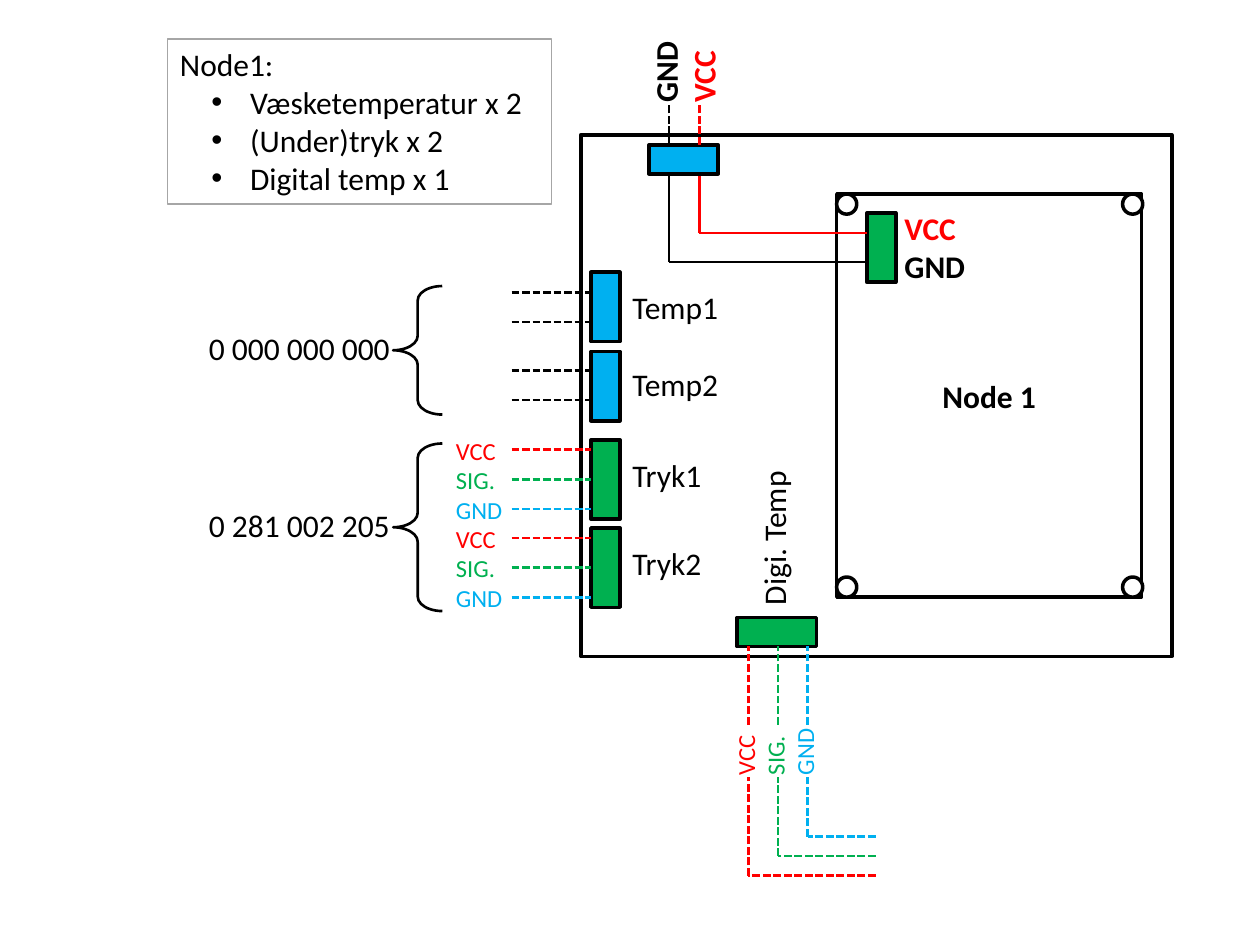
import pptx
import pptx.util
import pptx.dml.color
import pptx.enum.dml
import pptx.enum.shapes
import pptx.enum.text
import lxml.etree
from pptx.util import Inches, Pt

RGBColor = pptx.dml.color.RGBColor
MSO_SHAPE = pptx.enum.shapes.MSO_SHAPE
BLACK = RGBColor(0x00, 0x00, 0x00)
WHITE = RGBColor(0xFF, 0xFF, 0xFF)
GREY = RGBColor(0xA6, 0xA6, 0xA6)
RED = RGBColor(0xFF, 0x00, 0x00)
GREEN = RGBColor(0x00, 0xB0, 0x50)
BLUE = RGBColor(0x00, 0xB0, 0xF0)
A = "{http://schemas.openxmlformats.org/drawingml/2006/main}"

deck = pptx.Presentation()
deck.slide_width, deck.slide_height = Inches(10), Inches(7.5)
slide = deck.slides.add_slide(deck.slide_layouts[6])


def put_text(text, box=None, shape=None, colors=(BLACK,), size=18, bold=False,
             rotation=0, wrap=False):
    """Write lines of text into a shape, or into a new text box."""
    if shape is None:
        shape = slide.shapes.add_textbox(*map(Inches, box))
    shape.rotation = rotation
    frame = shape.text_frame
    frame.word_wrap = wrap
    frame.auto_size = pptx.enum.text.MSO_AUTO_SIZE.SHAPE_TO_FIT_TEXT
    frame.text = text
    for i, paragraph in enumerate(frame.paragraphs):
        paragraph.alignment = pptx.enum.text.PP_ALIGN.LEFT
        font = paragraph.runs[0].font
        font.name, font.size, font.bold = "Calibri", Pt(size), bold
        font.color.rgb = colors[i % len(colors)]
    return frame


def draw(kind, box, fill=None, line=BLACK, width=2, rotation=0, dashed=False):
    """Draw a preset shape in a box, or a line between two points if kind is None."""
    if kind is None:
        part = slide.shapes.add_connector(
            pptx.enum.shapes.MSO_CONNECTOR.STRAIGHT, *map(Inches, box))
        lxml.etree.SubElement(part._element.spPr, A + "effectLst")
        width = 1.5
    else:
        part = slide.shapes.add_shape(kind, *map(Inches, box))
        part.shadow.inherit = False
        part.rotation = rotation
        if fill is None:
            part.fill.background()
        else:
            part.fill.solid()
            part.fill.fore_color.rgb = fill
    part.line.color.rgb = line
    part.line.width = Pt(width)
    if dashed:
        part.line.dash_style = pptx.enum.dml.MSO_LINE.SQUARE_DOT
    return part


# Outer board and node board with its mounting holes
draw(MSO_SHAPE.RECTANGLE, (4.61, 1.07, 4.69, 4.14))
node = draw(MSO_SHAPE.RECTANGLE, (6.64, 1.54, 2.42, 3.2))
node_text = put_text("Node 1", shape=node, bold=True, wrap=True)
node_text.auto_size = pptx.enum.text.MSO_AUTO_SIZE.NONE
node_text.vertical_anchor = pptx.enum.text.MSO_ANCHOR.MIDDLE
node_text.paragraphs[0].alignment = pptx.enum.text.PP_ALIGN.CENTER
for hole_x in (6.64, 8.91):
    for hole_y in (1.54, 4.58):
        draw(MSO_SHAPE.OVAL, (hole_x, hole_y, 0.16, 0.16), fill=WHITE)

# Power supply: node terminal, wires, board terminal
draw(MSO_SHAPE.RECTANGLE, (6.88, 1.69, 0.23, 0.55), fill=GREEN)
put_text("VCC\nGND", (7.08, 1.61, 0.69, 0.71), colors=(RED, BLACK), bold=True)
supply_wires = [(5.55, 1.85, RED), (5.31, 2.08, BLACK)]
for x, y, color in supply_wires:
    draw(None, (6.88, y, x, y), line=color)
    draw(None, (x, y, x, 1.38), line=color)
draw(MSO_SHAPE.RECTANGLE, (5.31, 0.99, 0.23, 0.55), fill=BLUE, rotation=90)
put_text("GND\nVCC", (5.09, 0.21, 0.69, 0.71), colors=(BLACK, RED), bold=True,
         rotation=270)
for x, y, color in supply_wires:
    draw(None, (x, 1.15, x, 0.83), line=color, dashed=True)

# Sensor terminals on the left edge: label, top, height, label top, fill, wires
SIGNALS = (RED, GREEN, BLUE)
SIGNAL_NAMES = "VCC\nSIG.\nGND"
WIRE_GAP = 0.235
sensors = [
    ("Temp1", 2.16, 0.55, 2.24, 0.89, BLUE, 2.32, (BLACK, BLACK)),
    ("Temp2", 2.79, 0.55, 2.85, 0.89, BLUE, 2.94, (BLACK, BLACK)),
    ("Tryk1", 3.49, 0.63, 3.57, 0.75, GREEN, 3.57, SIGNALS),
    ("Tryk2", 4.19, 0.63, 4.27, 0.75, GREEN, 4.27, SIGNALS),
]
for name, top, height, name_top, name_width, fill, wire_top, colors in sensors:
    draw(MSO_SHAPE.RECTANGLE, (4.69, top, 0.23, height), fill=fill, rotation=180)
    put_text(name, (4.92, name_top, name_width, 0.4))
    for i, color in enumerate(colors):
        y = wire_top + i * WIRE_GAP
        draw(None, (4.06, y, 4.69, y), line=color, dashed=True)
    if colors == SIGNALS:
        put_text(SIGNAL_NAMES, (3.52, wire_top - 0.16, 0.57, 0.81), colors=SIGNALS,
                 size=14)

# Digital temperature terminal and its cable
draw(MSO_SHAPE.RECTANGLE, (6.05, 4.7, 0.23, 0.63), fill=GREEN, rotation=270)
put_text("Digi. Temp", (5.5, 4.06, 1.28, 0.4), rotation=270)
put_text(SIGNAL_NAMES, (5.87, 5.56, 0.57, 0.81), colors=SIGNALS, size=14, rotation=270)
for i, color in enumerate(SIGNALS):
    x, bend = 5.94 + i * WIRE_GAP, 6.95 - i * 0.155
    draw(None, (x, 5.75, x, 5.13), line=color, dashed=True)
    draw(None, (x, bend, x, 6.17), line=color, dashed=True)
    draw(None, (6.95, bend, x, bend), line=color, dashed=True)

# Part numbers with braces
for number, number_top, brace_top, brace_height in [
        ("0 000 000 000", 2.56, 2.27, 1.02), ("0 281 002 205", 3.97, 3.52, 1.33)]:
    put_text(number, (1.56, number_top, 1.72, 0.4), wrap=True)
    brace = draw(MSO_SHAPE.LEFT_BRACE, (3.12, brace_top, 0.39, brace_height), width=1.5)
    brace.adjustments[0], brace.adjustments[1] = 0.293, 0.5

# Sensor list
sensor_list = put_text(
    "Node1:\n Væsketemperatur x 2\n (Under)tryk x 2\n Digital temp x 1",
    (1.33, 0.31, 3.05, 1.31), wrap=True)
list_box = slide.shapes[-1]
list_box.line.color.rgb = GREY
list_box.line.width = Pt(0.75)
for item in sensor_list.paragraphs[1:]:
    item.level = 1
    properties = item._p.get_or_add_pPr()
    properties.set("marL", str(Inches(0.5)))
    properties.set("indent", str(-Inches(0.25)))
    lxml.etree.SubElement(properties, A + "buFont", typeface="Arial")
    lxml.etree.SubElement(properties, A + "buChar", char="•")

deck.save("out.pptx")
